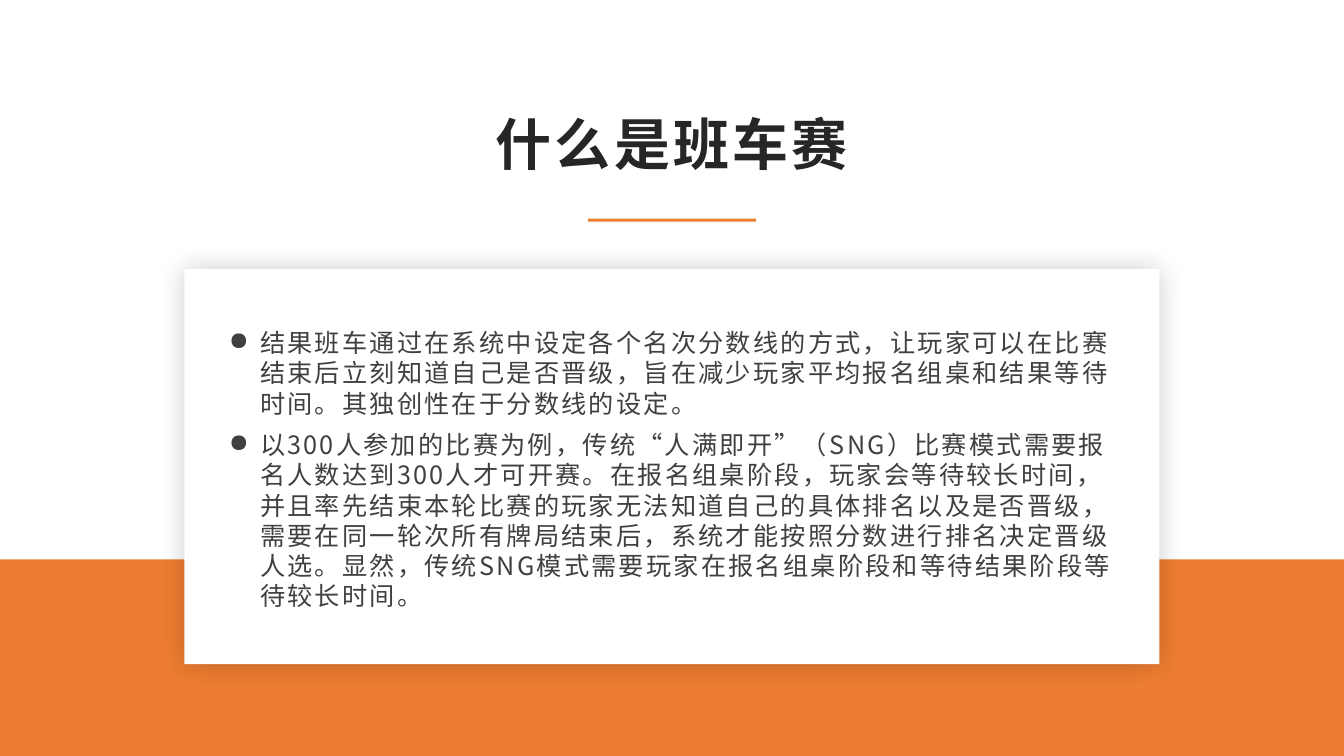
from dataclasses import dataclass

from lxml.etree import SubElement
from pptx import Presentation
from pptx.dml.color import RGBColor
from pptx.enum.shapes import MSO_SHAPE
from pptx.enum.text import MSO_ANCHOR, MSO_AUTO_SIZE, PP_ALIGN
from pptx.oxml.ns import qn
from pptx.util import Inches, Pt


@dataclass(frozen=True)
class Theme:
    font: str = "Noto Sans CJK SC"
    accent: str = "ED7D31"
    card: str = "FFFFFF"
    heading: str = "262626"
    body: str = "404040"
    heading_size: int = 40
    body_size: int = 18


THEME = Theme()
WIDTH, HEIGHT = 13.33, 7.5
HEADING = "什么是班车赛"
POINTS = [
    "结果班车通过在系统中设定各个名次分数线的方式，让玩家可以在比赛结束后立刻知道自己是否晋级，"
    "旨在减少玩家平均报名组桌和结果等待时间。其独创性在于分数线的设定。",
    "以300人参加的比赛为例，传统“人满即开”（SNG）比赛模式需要报名人数达到300人才可开赛。"
    "在报名组桌阶段，玩家会等待较长时间，并且率先结束本轮比赛的玩家无法知道自己的具体排名以及是否晋级，"
    "需要在同一轮次所有牌局结束后，系统才能按照分数进行排名决定晋级人选。"
    "显然，传统SNG模式需要玩家在报名组桌阶段和等待结果阶段等待较长时间。",
]


def add_block(slide, box, color):
    block = slide.shapes.add_shape(MSO_SHAPE.RECTANGLE, *map(Inches, box))
    block.shadow.inherit = False
    block.fill.solid()
    block.fill.fore_color.rgb = RGBColor.from_string(color)
    block.line.fill.background()
    return block


def add_glow_shadow(block, blur, opacity):
    """Add a soft black shadow on all sides; opacity is in percent."""
    effects = block._element.spPr.find(qn("a:effectLst"))
    shadow = SubElement(effects, qn("a:outerShdw"), blurRad=str(Pt(blur)),
                        dist="0", algn="ctr", rotWithShape="0")
    black = SubElement(shadow, qn("a:srgbClr"), val="000000")
    SubElement(black, qn("a:alpha"), val=str(opacity * 1000))


def format_frame(frame):
    settings = {
        "word_wrap": True,
        "auto_size": MSO_AUTO_SIZE.NONE,
        "vertical_anchor": MSO_ANCHOR.MIDDLE,
        "margin_left": Inches(0.07),
        "margin_right": Inches(0.07),
        "margin_top": Inches(0.03),
        "margin_bottom": Inches(0.03),
    }
    for name, value in settings.items():
        setattr(frame, name, value)


def add_text(paragraph, text, size, color, tracking, bold=False):
    """Add a run; tracking is the letter spacing in points."""
    run = paragraph.add_run()
    run.text = text
    for name, value in {"name": THEME.font, "size": Pt(size), "bold": bold}.items():
        setattr(run.font, name, value)
    run.font.color.rgb = RGBColor.from_string(color)
    properties = run._r.get_or_add_rPr()
    properties.set("spc", str(round(tracking * 100)))
    SubElement(properties, qn("a:ea"), typeface=THEME.font)


def add_bullet(paragraph, indent):
    properties = paragraph._p.get_or_add_pPr()
    properties.set("marL", str(Inches(indent)))
    properties.set("indent", str(-Inches(indent)))
    SubElement(properties, qn("a:buChar"), char="●")


def add_heading(slide, box):
    left, top, width, height = box
    title = slide.shapes.title
    title.left, title.top, title.width, title.height = map(Inches, box)
    format_frame(title.text_frame)
    paragraph = title.text_frame.paragraphs[0]
    paragraph.alignment = PP_ALIGN.CENTER
    add_text(paragraph, HEADING, THEME.heading_size, THEME.heading, 2.4, bold=True)
    rule_width = 1.67
    rule_left = left + (width - rule_width) / 2
    add_block(slide, (rule_left, top + height + 0.34, rule_width, 0.03), THEME.accent)


def add_card(slide, box):
    left, top, width, height = box
    add_glow_shadow(add_block(slide, box, THEME.card), blur=20, opacity=20)
    text_box = (left + 0.37, top + 0.5, width - 0.63, height - 0.95)
    frame = slide.shapes.add_textbox(*map(Inches, text_box)).text_frame
    format_frame(frame)
    for index, point in enumerate(POINTS):
        paragraph = frame.add_paragraph() if index else frame.paragraphs[0]
        paragraph.line_spacing = 1.0
        paragraph.space_after = Pt(8)
        add_bullet(paragraph, 0.31)
        add_text(paragraph, point, THEME.body_size, THEME.body, 1.6)


def main():
    deck = Presentation()
    deck.slide_width, deck.slide_height = Inches(WIDTH), Inches(HEIGHT)
    slide = deck.slides.add_slide(deck.slide_layouts[5])
    band_height = 1.95
    add_block(slide, (0, HEIGHT - band_height, WIDTH, band_height), THEME.accent)
    column_left, column_width = 1.83, 9.67
    add_heading(slide, (column_left, 1, column_width, 0.83))
    add_card(slide, (column_left, 2.67, column_width, 3.92))
    deck.save("out.pptx")


if __name__ == "__main__":
    main()
